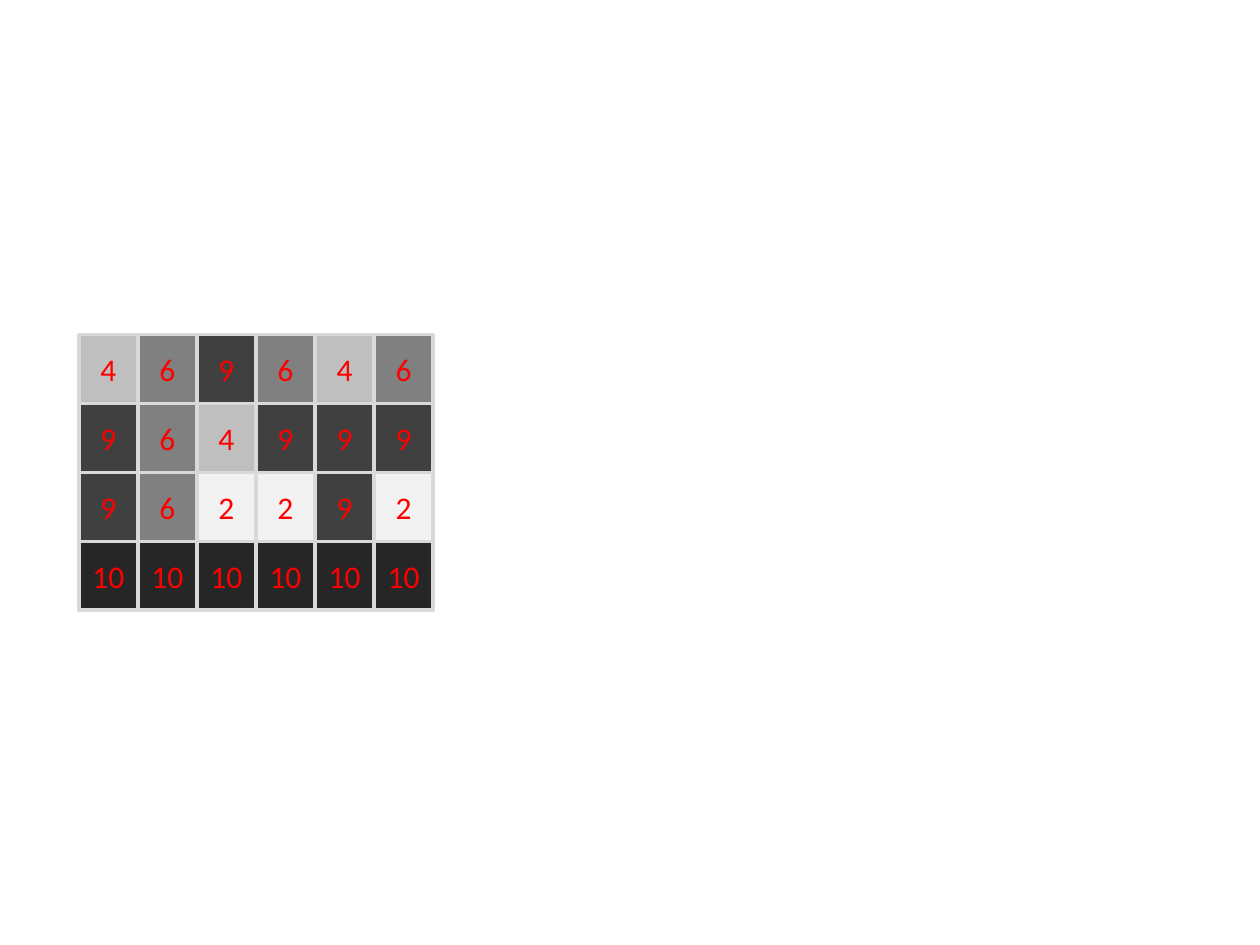
from pptx import Presentation
from pptx.dml.color import RGBColor
from pptx.enum import shapes, text
from pptx.util import Pt

RED = RGBColor(0xFF, 0x00, 0x00)
GRID_GRAY = RGBColor(0xD9, 0xD9, 0xD9)
SHADES = {
    2: RGBColor(0xF2, 0xF2, 0xF2),
    4: RGBColor(0xBF, 0xBF, 0xBF),
    6: RGBColor(0x80, 0x80, 0x80),
    9: RGBColor(0x40, 0x40, 0x40),
    10: RGBColor(0x26, 0x26, 0x26),
}
INTENSITIES = [
    [4, 6, 9, 6, 4, 6],
    [9, 6, 4, 9, 9, 9],
    [9, 6, 2, 2, 9, 2],
    [10] * 6,
]


def write_text(frame, words, *, size=18, color=RED, font="Calibri"):
    """Write centred text into a text frame."""
    frame.margin_left = frame.margin_right = 0
    frame.word_wrap = True
    frame.vertical_anchor = text.MSO_ANCHOR.MIDDLE
    paragraph = frame.paragraphs[0]
    paragraph.alignment = text.PP_ALIGN.CENTER
    run = paragraph.add_run()
    run.text = words
    run.font.name = font
    run.font.size = Pt(size)
    run.font.color.rgb = color


def add_pixel(slide, intensity, left, top, width, height):
    """Add one pixel shaded and labelled by its intensity."""
    pixel = slide.shapes.add_shape(
        shapes.MSO_SHAPE.RECTANGLE, Pt(left), Pt(top), Pt(width), Pt(height))
    pixel.shadow.inherit = False
    pixel.fill.solid()
    pixel.fill.fore_color.rgb = SHADES[intensity]
    pixel.line.color.rgb = GRID_GRAY
    pixel.line.width = Pt(2)
    write_text(pixel.text_frame, str(intensity))


def add_pixel_grid(slide, intensities, left, top, width, height):
    """Fill the given box with an even grid of pixels."""
    pixel_height = height / len(intensities)
    for row, values in enumerate(intensities):
        pixel_width = width / len(values)
        for column, intensity in enumerate(values):
            add_pixel(slide, intensity, left + column * pixel_width,
                      top + row * pixel_height, pixel_width, pixel_height)


def main():
    """Build and save the slide."""
    deck = Presentation()
    deck.slide_width, deck.slide_height = Pt(720), Pt(540)
    slide = deck.slides.add_slide(deck.slide_layouts[6])
    add_pixel_grid(slide, INTENSITIES, 45, 191.25, 202.5, 157.5)
    deck.save("out.pptx")


if __name__ == "__main__":
    main()
